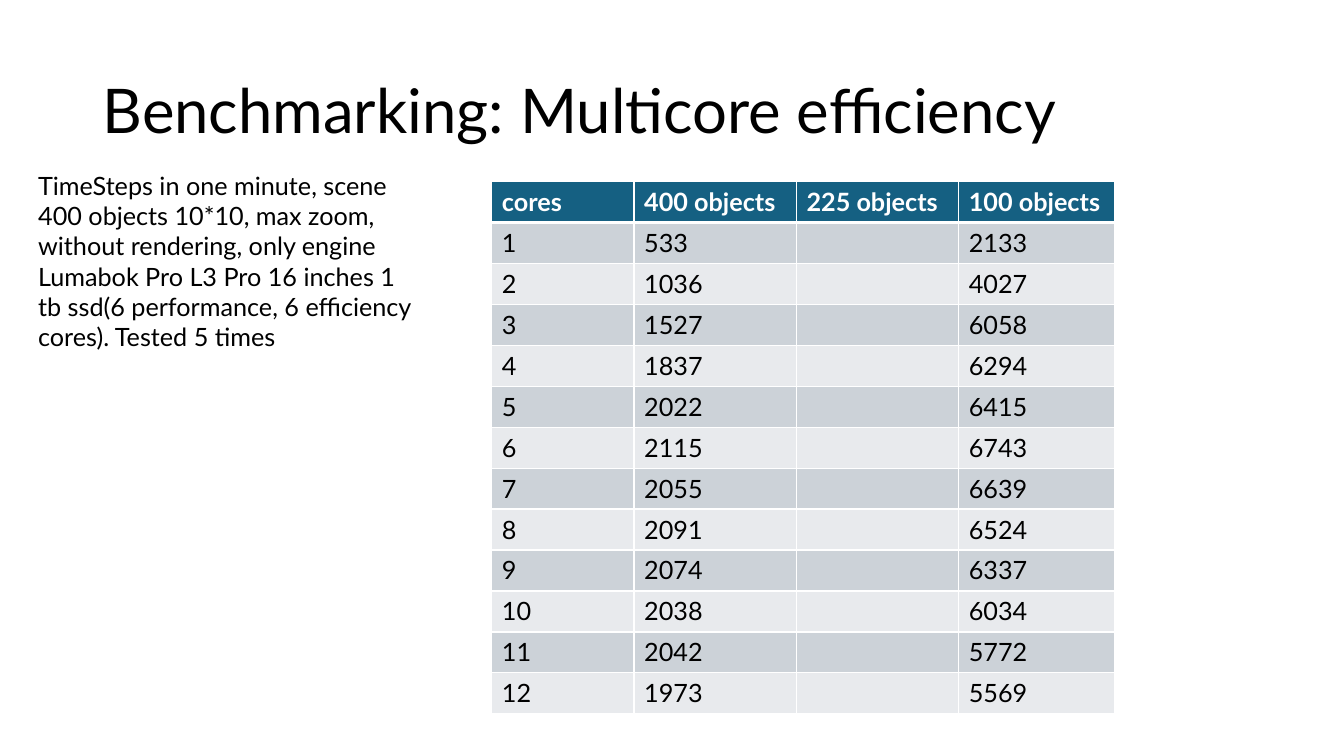
from lxml.etree import SubElement
from pptx import Presentation
from pptx.dml.color import RGBColor
from pptx.enum.text import MSO_ANCHOR
from pptx.oxml.ns import qn
from pptx.util import Inches, Pt


def color(hex_string):
    return RGBColor.from_string(hex_string)


def write(frame, text, size=18, ink="000000", bold=False, spacing=None, anchor=MSO_ANCHOR.TOP):
    frame.word_wrap = True
    frame.vertical_anchor = anchor
    frame.text = text
    for paragraph in frame.paragraphs:
        paragraph.line_spacing = spacing
        paragraph.font.name = "Lato"
        paragraph.font.size = Pt(size)
        paragraph.font.bold = bold
        paragraph.font.color.rgb = color(ink)


deck = Presentation()
deck.slide_width = Inches(13.33)
deck.slide_height = Inches(7.5)
slide = deck.slides.add_slide(deck.slide_layouts[6])
across = deck.slide_width / 100
down = deck.slide_height / 100

heading = slide.shapes.add_textbox(
    int(6.9 * across), int(5.33 * down), int(86.25 * across), int(19.33 * down))
write(heading.text_frame, "Benchmarking: Multicore efficiency",
      size=44, spacing=0.9, anchor=MSO_ANCHOR.MIDDLE)

test_setup = slide.shapes.add_textbox(
    int(2.1 * across), int(21.87 * down), int(29.78 * across), int(29.6 * down))
write(test_setup.text_frame,
      "TimeSteps in one minute, scene 400 objects 10*10, max zoom, without rendering, only engine\n"
      "Lumabok Pro L3 Pro 16 inches 1 tb ssd(6 performance, 6 efficiency cores). Tested 5 times")

steps_400 = [533, 1036, 1527, 1837, 2022, 2115, 2055, 2091, 2074, 2038, 2042, 1973]
steps_100 = [2133, 4027, 6058, 6294, 6415, 6743, 6639, 6524, 6337, 6034, 5772, 5569]
results = [("cores", "400 objects", "225 objects", "100 objects")]
for cores, (many, few) in enumerate(zip(steps_400, steps_100), start=1):
    results.append((str(cores), str(many), "", str(few)))

column_shares = [10.58, 12.08, 12.08, 11.63]
row_share = 5.42
benchmark = slide.shapes.add_table(
    len(results), len(column_shares), int(36.6 * across), int(24 * down),
    int(sum(column_shares) * across), int(len(results) * row_share * down)).table
for column, share in zip(benchmark.columns, column_shares):
    column.width = int(share * across)

for row_index, values in enumerate(results):
    benchmark.rows[row_index].height = int(row_share * down)
    is_header = row_index == 0
    band = "156082" if is_header else "CCD2D8" if row_index % 2 else "E8EAED"
    for column_index, value in enumerate(values):
        cell = benchmark.cell(row_index, column_index)
        write(cell.text_frame, value, ink="FFFFFF" if is_header else "000000", bold=is_header)
        properties = cell._tc.get_or_add_tcPr()
        for side in ("lnL", "lnR", "lnT", "lnB"):
            below_header = (row_index, side) in ((0, "lnB"), (1, "lnT"))
            border = SubElement(properties, qn(f"a:{side}"), w=str(Pt(3 if below_header else 1)))
            SubElement(SubElement(border, qn("a:solidFill")), qn("a:srgbClr"), val="FFFFFF")
        cell.fill.solid()
        cell.fill.fore_color.rgb = color(band)

deck.save("out.pptx")
